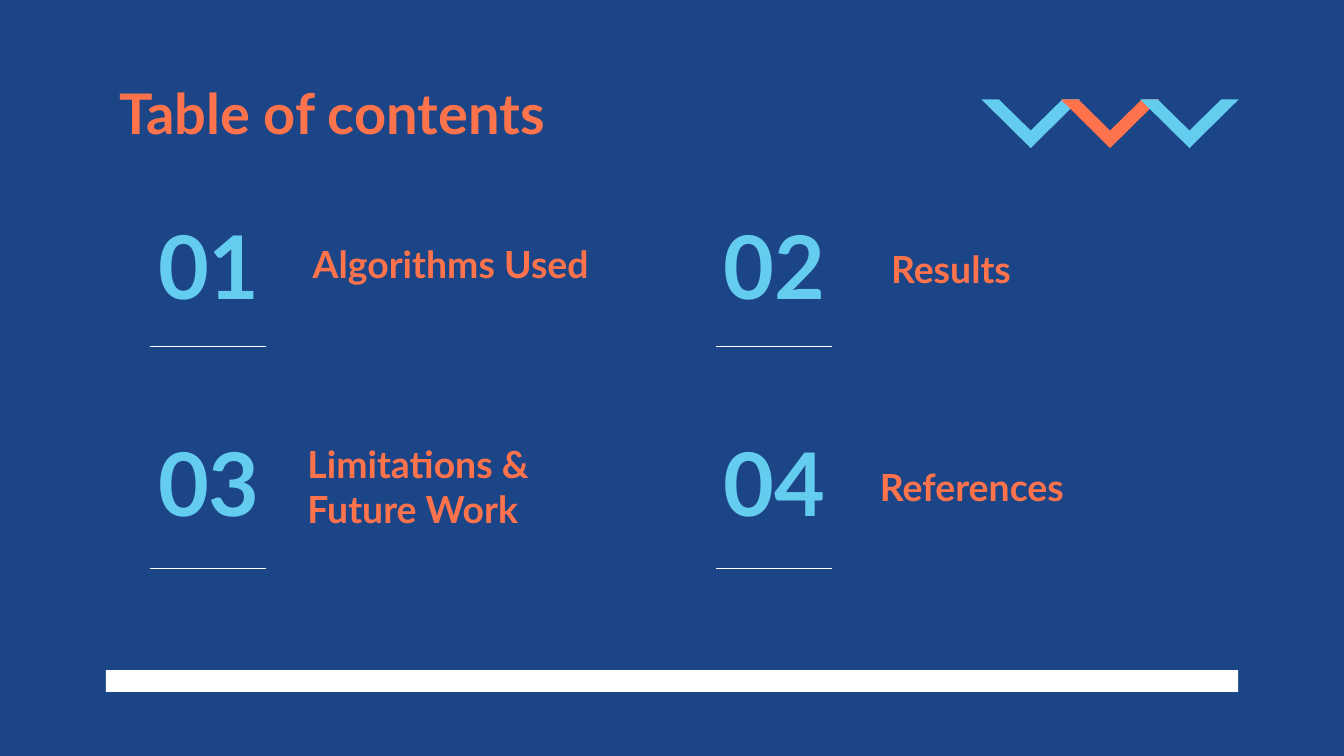
from lxml import etree
from pptx import Presentation
from pptx.dml.color import RGBColor
from pptx.enum.shapes import MSO_CONNECTOR, MSO_SHAPE
from pptx.enum.text import MSO_ANCHOR, MSO_AUTO_SIZE, PP_ALIGN
from pptx.oxml.ns import qn
from pptx.util import Cm, Pt

LEFT, CENTER = PP_ALIGN.LEFT, PP_ALIGN.CENTER
TOP, MIDDLE = MSO_ANCHOR.TOP, MSO_ANCHOR.MIDDLE
NO_AUTOFIT = MSO_AUTO_SIZE.NONE
STRAIGHT, RECTANGLE = MSO_CONNECTOR.STRAIGHT, MSO_SHAPE.RECTANGLE
NAVY, CYAN, ORANGE, WHITE = "1C4587", "64CCEF", "FF734C", "FFFFFF"


def paint(fill, color):
    fill.solid()
    fill.fore_color.rgb = RGBColor.from_string(color)


def write(shape, text, box, size, color, align=LEFT, anchor=MIDDLE):
    shape.left, shape.top, shape.width, shape.height = [Cm(length) for length in box]
    frame = shape.text_frame
    frame.text = text
    frame.word_wrap = True
    frame.auto_size = NO_AUTOFIT
    frame.vertical_anchor = anchor
    frame.margin_left = frame.margin_right = Cm(0.25)
    frame.margin_top = frame.margin_bottom = Cm(0.25)
    paragraph = frame.paragraphs[0]
    paragraph.alignment = align
    font = paragraph.font
    font.name, font.size, font.bold = "Lato", Pt(size), True
    paint(font.fill, color)


presentation = Presentation()
presentation.slide_width, presentation.slide_height = Cm(25.4), Cm(14.29)
slide = presentation.slides.add_slide(presentation.slide_layouts[5])
shapes = slide.shapes
paint(slide.background.fill, NAVY)

# Zigzag: each chevron overlaps the one before it
chevron = [(-0.93, 0), (-0.6, 0), (0, 0.59), (0.6, 0), (0.93, 0), (0, 0.92)]
for index, color in enumerate([CYAN, ORANGE, CYAN]):
    center = 19.48 + 1.5 * index
    points = [(Cm(center + x), Cm(1.88 + y)) for x, y in chevron]
    builder = shapes.build_freeform(*points[0])
    builder.add_line_segments(points[1:], close=True)
    shape = builder.convert_to_shape()
    shape.shadow.inherit = False
    paint(shape.fill, color)
    shape.line.fill.background()

# Bottom bar
bar = shapes.add_shape(RECTANGLE, Cm(2), Cm(12.67), Cm(21.4), Cm(0.41))
bar.shadow.inherit = False
paint(bar.fill, WHITE)
bar.line.fill.background()

# Title
write(shapes.title, "Table of contents", (2, 1.24, 21.4, 1.6), 30, ORANGE, anchor=TOP)

# Contents in a two by two grid: label with its left and top
entries = [
    ("Algorithms Used", 5.66, 4.24),
    ("Results", 16.59, 4.34),
    ("Limitations & Future Work", 5.56, 8.46),
    ("References", 16.38, 8.46),
]
for index, (label, label_left, label_top) in enumerate(entries):
    row, column = divmod(index, 2)
    left = 2.49 + 10.69 * column
    number_box = (left, 4.17 + 4.11 * row, 2.92, 1.65)
    label_box = (label_left, label_top, 6.55, 1.47)
    write(shapes.add_textbox(0, 0, 0, 0), f"{index + 1:02}", number_box, 47, CYAN, CENTER)
    write(shapes.add_textbox(0, 0, 0, 0), label, label_box, 20, ORANGE)

    # Rule under the number
    line_y = Cm(6.55 + 4.19 * row)
    rule = shapes.add_connector(STRAIGHT, Cm(left + 0.35), line_y, Cm(left + 2.54), line_y)
    paint(rule.line.fill, WHITE)
    rule.line.width = Pt(0.75)
    etree.SubElement(rule._element.spPr, qn("a:effectLst"))

presentation.save("out.pptx")
